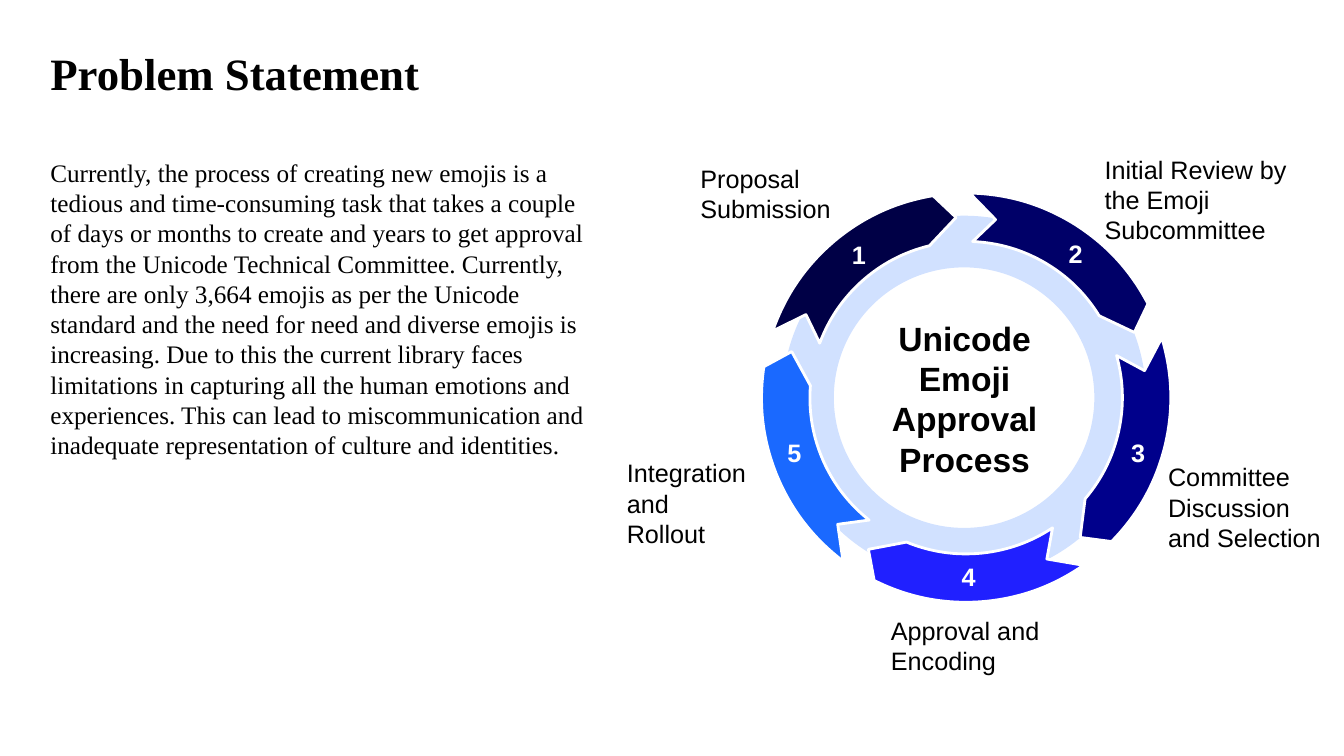
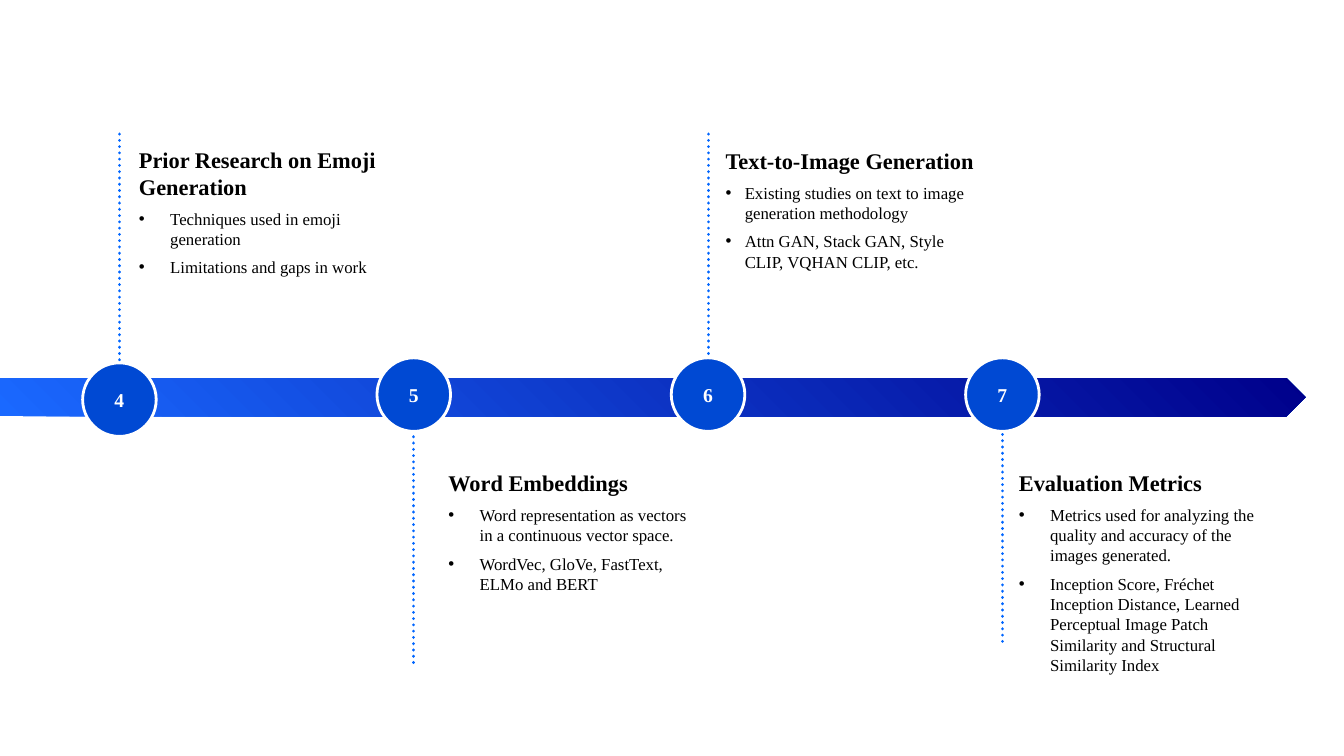
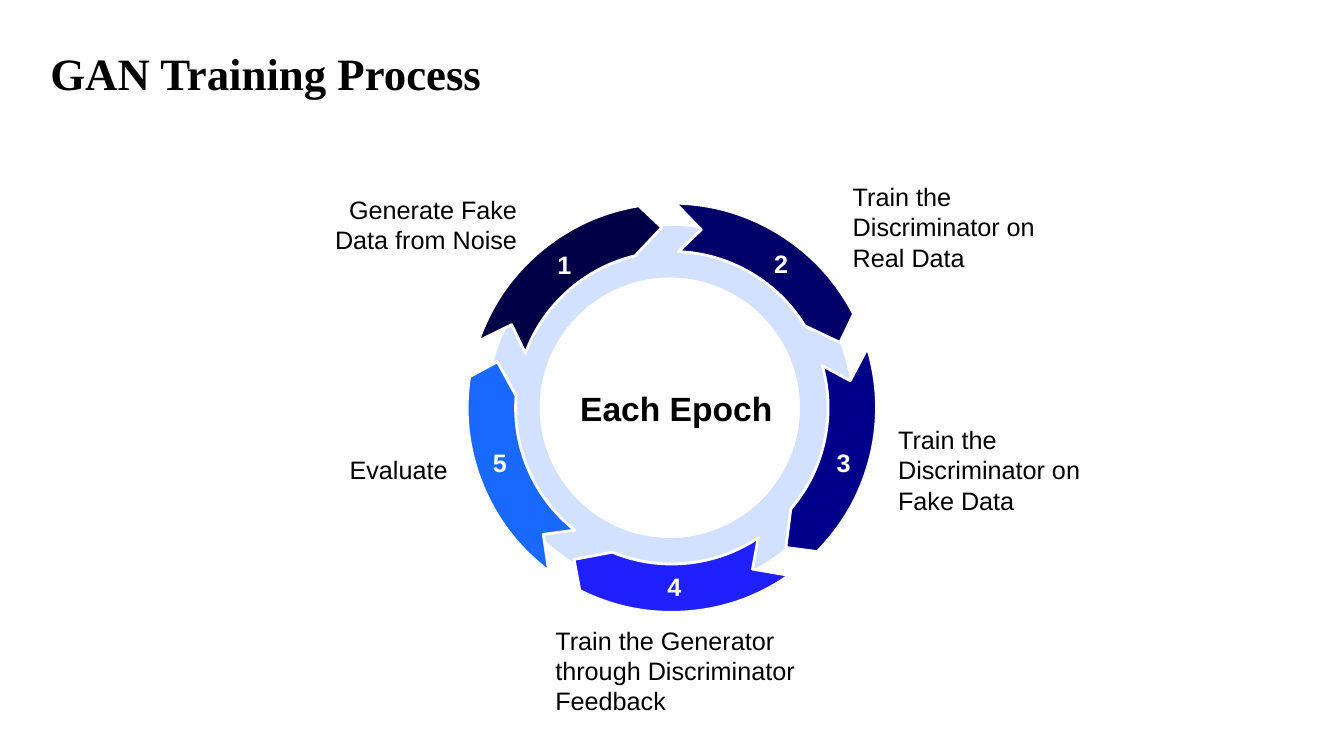
from math import cos, radians, sin, tan

from pptx import Presentation
from pptx.dml.color import RGBColor
from pptx.enum.dml import MSO_LINE
from pptx.enum.shapes import MSO_CONNECTOR, MSO_SHAPE
from pptx.enum.text import MSO_ANCHOR, PP_ALIGN
from pptx.oxml import parse_xml
from pptx.oxml.ns import nsdecls, qn
from pptx.util import Inches, Pt

LEFT, CENTER, RIGHT = PP_ALIGN.LEFT, PP_ALIGN.CENTER, PP_ALIGN.RIGHT
TOP, MIDDLE = MSO_ANCHOR.TOP, MSO_ANCHOR.MIDDLE
DONUT, OVAL, PENTAGON = MSO_SHAPE.DONUT, MSO_SHAPE.OVAL, MSO_SHAPE.PENTAGON
STRAIGHT, DOTTED = MSO_CONNECTOR.STRAIGHT, MSO_LINE.ROUND_DOT

BLACK, WHITE = "000000", "FFFFFF"
RING, NODE, DOTS = "D1E1FF", "0049D3", "0066FF"
BAR_DARK, BAR_LIGHT = "00008B", "1A69FF"
ARROWS = ["000046", "000068", "00008B", "2020FF", "1A69FF"]

SERIF, SANS = "Times New Roman", "Arial"
TITLE = {"name": SERIF, "size": Pt(32), "bold": True}
BODY = {"name": SERIF, "size": Pt(18)}
LABEL = {"name": SANS, "size": Pt(18)}
NUMBER = {"name": SANS, "size": Pt(18), "bold": True}
HUB = {"name": SANS, "size": Pt(24), "bold": True}
HEADING = {"name": SERIF, "size": Pt(16), "bold": True}
BULLET = {"name": SERIF, "size": Pt(12)}
NODE_NUMBER = {"name": SERIF, "size": Pt(14), "bold": True}

NO_INSETS = (0, 0, 0, 0)
BOX_INSETS = (0.1, 0.05, 0.1, 0.05)

RING_SIZE = 3.61
ARROW_STEP = 72
NODE_SIZE = 0.73
NODE_STEP = 2.92

# Left and top of each arrow's number, from the ring's corner
NUMBER_SIZE = 0.42
NUMBER_SPOTS = [(0.55, 0.17), (2.7, 0.16), (3.32, 2.14), (1.64, 3.37), (-0.09, 2.14)]

# Each label: text, box from the ring's corner, alignment
APPROVAL_LABELS = [
    ("Proposal Submission", (-0.91, -0.57, 2.13, 0.71), LEFT),
    ("Initial Review by the Emoji Subcommittee", (3.1, -0.66, 2.31, 1.01), LEFT),
    ("Committee Discussion and Selection", (3.73, 2.39, 1.87, 1.01), LEFT),
    ("Approval and Encoding", (0.98, 3.91, 1.9, 0.71), LEFT),
    ("Integration and Rollout", (-1.64, 2.35, 1.4, 1.01), LEFT),
]
TRAINING_LABELS = [
    ("Generate Fake Data from Noise", (-1.63, -0.31, 1.92, 0.61), RIGHT),
    ("Train the Discriminator on Real Data", (3.62, -0.44, 1.92, 0.91), LEFT),
    ("Train the Discriminator on Fake Data", (4.07, 1.97, 2.11, 0.91), LEFT),
    ("Train the Generator through Discriminator Feedback", (0.67, 3.96, 2.8, 0.91), LEFT),
    ("Evaluate", (-1.59, 2.27, 1.19, 0.3), RIGHT),
]

PROBLEM = (
    "Currently, the process of creating new emojis is a tedious and time-consuming task "
    "that takes a couple of days or months to create and years to get approval from the "
    "Unicode Technical Committee. Currently, there are only 3,664 emojis as per the Unicode "
    "standard and the need for need and diverse emojis is increasing. Due to this the current "
    "library faces limitations in capturing all the human emotions and experiences. This can "
    "lead to miscommunication and inadequate representation of culture and identities."
)

# Each topic: heading, bullets, bullet indent, text box, node top, line top and bottom
TOPICS = [
    ("Prior Research on Emoji Generation",
     ["Techniques used in emoji generation", "Limitations and gaps in work"],
     0.31, (1.28, 1.4, 2.75, 2.09), 3.6, (1.33, 4.28)),
    ("Word Embeddings",
     ["Word representation as vectors in a continuous vector space.",
      "WordVec, GloVe, FastText, ELMo and BERT"],
     0.31, (4.35, 4.61, 2.68, 1.77), 3.55, (3.96, 6.63)),
    ("Text-to-Image Generation",
     ["Existing studies on text to image generation methodology",
      "Attn GAN, Stack GAN, Style CLIP, VQHAN CLIP, etc."],
     0.19, (7.1, 1.41, 2.75, 2.72), 3.55, (1.33, 4.28)),
    ("Evaluation Metrics",
     ["Metrics used for analyzing the quality and accuracy of the images generated.",
      "Inception Score, Fréchet Inception Distance, Learned Perceptual Image Patch "
      "Similarity and Structural Similarity Index"],
     0.31, (10.01, 4.61, 2.68, 2.23), 3.55, (3.75, 6.42)),
]


def rgb(color):
    return RGBColor.from_string(color)


def set_frame(tf, insets=NO_INSETS, anchor=TOP):
    tf.word_wrap = True
    tf.vertical_anchor = anchor
    for side, inset in zip(("left", "top", "right", "bottom"), insets):
        setattr(tf, f"margin_{side}", Inches(inset))


def write(p, text, style, color=BLACK, align=LEFT):
    p.alignment = align
    r = p.add_run()
    r.text = text
    for name, value in style.items():
        setattr(r.font, name, value)
    r.font.color.rgb = rgb(color)


def add_text(slide, box, text, style, align=LEFT, **frame):
    tf = slide.shapes.add_textbox(*map(Inches, box)).text_frame
    set_frame(tf, **frame)
    write(tf.paragraphs[0], text, style, align=align)
    return tf


def paint(sp, fill=None, outline=None):
    sp.shadow.inherit = False
    if fill:
        sp.fill.solid()
        sp.fill.fore_color.rgb = rgb(fill)
    else:
        sp.fill.background()
    if outline:
        sp.line.color.rgb = rgb(outline)
        sp.line.width = Pt(2)
    else:
        sp.line.fill.background()


def add_shape(slide, kind, box, fill=None, outline=None):
    sp = slide.shapes.add_shape(kind, *map(Inches, box))
    paint(sp, fill, outline)
    return sp


def add_disc(slide, box, number, style, fill=None, outline=None):
    disc = add_shape(slide, OVAL, box, fill, outline)
    set_frame(disc.text_frame, anchor=MIDDLE)
    write(disc.text_frame.paragraphs[0], str(number), style, WHITE, CENTER)


def add_title(slide, text):
    add_text(slide, (0.5, 0.17, 12.33, 1.06), text, TITLE,
             insets=(0, 0.08, 0.1, 0.05), anchor=MIDDLE)


def arc(radius, start, end):
    """Return the three polar Bezier points that lead from start to end."""
    handle = 4 / 3 * tan(radians(end - start) / 4)
    reach = radius * (1 + handle ** 2) ** 0.5
    swing = 3 * (end - start) / 9 * 1.02
    return [(reach, start + swing), (reach, end - swing), (radius, end)]


def add_arrow(slide, cx, cy, turn, fill):
    """Draw one curved arrow of the ring, turned clockwise from the top."""
    outer, middle, inner = 2.03, 1.79, 1.55
    outline = [(outer, 1), (middle, 9.4), (inner, 2.4)]
    curves = [len(outline), len(outline) + 3]
    outline += arc(inner, 2.4, 30) + arc(inner, 30, 58.4)
    outline += [(middle, 68.8), (outer, 62.7)]
    curves += [len(outline), len(outline) + 3]
    outline += arc(outer, 62.7, 32) + arc(outer, 32, 1)
    points = [(Inches(cx + radius * sin(radians(angle + turn))),
               Inches(cy - radius * cos(radians(angle + turn))))
              for radius, angle in outline]
    builder = slide.shapes.build_freeform(*points[0])
    builder.add_line_segments(points[1:], close=True)
    sp = builder.convert_to_shape()
    steps = list(sp._element.iter(qn("a:lnTo")))
    for first in curves:
        segments = steps[first - 1:first + 2]
        curve = parse_xml(f"<a:cubicBezTo {nsdecls('a')}/>")
        segments[0].addprevious(curve)
        for segment in segments:
            curve.append(segment[0])
            segment.getparent().remove(segment)
    paint(sp, fill, WHITE)


def add_cycle(slide, left, top, hub, hub_width, labels, insets):
    """Draw a ring of five numbered arrows with a hub text and outer labels."""
    cx, cy = left + RING_SIZE / 2 + 0.02, top + RING_SIZE / 2
    ring = add_shape(slide, DONUT, (left, top, RING_SIZE, RING_SIZE), RING)
    ring.adjustments[0] = 0.142
    add_text(slide, (left + 0.58, top + 1.43, hub_width, 0.76), hub, HUB,
             align=CENTER, insets=(0.1, 0, 0, 0), anchor=MIDDLE)
    for i, (text, (dx, dy, width, height), align) in enumerate(labels):
        add_arrow(slide, cx, cy, (i - 1) * ARROW_STEP, ARROWS[i])
        x, y = NUMBER_SPOTS[i]
        add_disc(slide, (left + x, top + y, NUMBER_SIZE, NUMBER_SIZE), i + 1, NUMBER)
        add_text(slide, (left + dx, top + dy, width, height), text, LABEL, align,
                 insets=insets)


def add_dotted_line(slide, x, top, bottom):
    line = slide.shapes.add_connector(STRAIGHT, *map(Inches, (x, top, x, bottom)))
    line.line.color.rgb = rgb(DOTS)
    line.line.width = Pt(2.25)
    line.line.dash_style = DOTTED
    spPr = line._element.spPr
    spPr.find(qn("a:ln")).set("cap", "rnd")
    spPr.append(parse_xml(f"<a:effectLst {nsdecls('a')}/>"))


def add_bar(slide, box):
    """Draw the timeline bar, shaded outwards from its top right corner."""
    bar = add_shape(slide, PENTAGON, box)
    bar.fill.gradient()
    for stop, color, position in zip(bar.fill.gradient_stops, (BAR_DARK, BAR_LIGHT), (0, 1)):
        stop.color.rgb = rgb(color)
        stop.position = position
    grad = bar._element.spPr.find(qn("a:gradFill"))
    grad.remove(grad.find(qn("a:lin")))
    grad.append(parse_xml(f'<a:path {nsdecls("a")} path="circle">'
                          '<a:fillToRect l="100000" b="100000"/></a:path>'))


def add_topic(slide, box, heading, bullets, indent):
    tf = add_text(slide, box, heading, HEADING, insets=BOX_INSETS)
    for text in bullets:
        p = tf.add_paragraph()
        p.space_before = Pt(6)
        pPr = p._p.get_or_add_pPr()
        pPr.set("marL", str(Inches(indent)))
        pPr.set("indent", str(-Inches(indent)))
        pPr.append(parse_xml(f'<a:buFont {nsdecls("a")} typeface="{SANS}"/>'))
        pPr.append(parse_xml(f'<a:buChar {nsdecls("a")} char="•"/>'))
        write(p, text, BULLET)


def add_timeline(slide, left, first_number, topics):
    """Draw the bar with a numbered node, dotted line and text for each topic."""
    lefts = [left + i * NODE_STEP for i in range(len(topics))]
    for x, (heading, bullets, indent, box, _, ends) in zip(lefts, topics):
        add_dotted_line(slide, x + NODE_SIZE / 2, *ends)
        add_topic(slide, box, heading, bullets, indent)
    add_bar(slide, (0, 3.75, 12.95, 0.38))
    for number, (x, topic) in enumerate(zip(lefts, topics), first_number):
        add_disc(slide, (x, topic[4], NODE_SIZE, NODE_SIZE), number, NODE_NUMBER,
                 NODE, WHITE)


def main():
    prs = Presentation()
    prs.slide_width, prs.slide_height = Inches(40 / 3), Inches(7.5)
    problem, research, training = (
        prs.slides.add_slide(prs.slide_layouts[6]) for _ in range(3))

    add_title(problem, "Problem Statement")
    add_text(problem, (0.5, 1.51, 5.5, 5.29), PROBLEM, BODY, insets=(0, 0.05, 0.1, 0.05))
    add_cycle(problem, 7.76, 2.14, "Unicode Emoji Approval Process", 2.36,
              APPROVAL_LABELS, BOX_INSETS)

    add_timeline(research, 0.82, 4, TOPICS)

    add_title(training, "GAN Training Process")
    add_cycle(training, 4.84, 2.24, "Each Epoch", 2.48, TRAINING_LABELS, NO_INSETS)

    prs.save("out.pptx")


if __name__ == "__main__":
    main()
